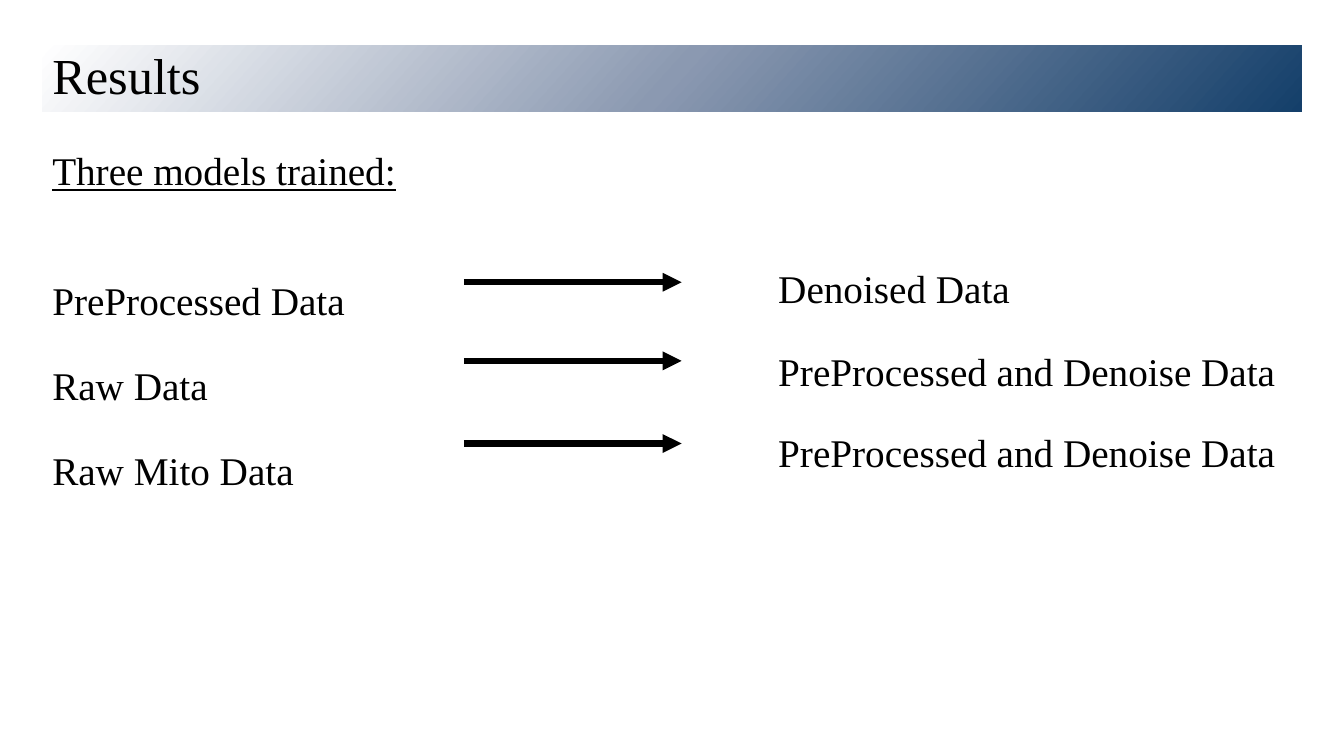
from pptx import Presentation
from pptx import util as u
from pptx.dml.color import RGBColor
from pptx.enum import shapes, text
from pptx.oxml import parse_xml
from pptx.oxml.ns import nsdecls, qn


def colour(value):
    return RGBColor.from_string(value)


class ResultsPage:
    """Holds the style and the current slide, and draws its elements."""

    font = "Times New Roman"
    ink = "000000"
    body_size = 28
    title_size = 36

    def __init__(self, deck):
        self.page = deck.slides.add_slide(deck.slide_layouts[6])

    def add_words(self, para, words, size, spacing, before=0, underline=False):
        para.alignment = text.PP_ALIGN.LEFT
        para.line_spacing = spacing
        para.space_before = u.Pt(before)
        span = para.add_run()
        span.text = words
        span.font.name = self.font
        span.font.size = u.Pt(size)
        span.font.underline = underline
        span.font.color.rgb = colour(self.ink)

    def banner(self, words, left, top, width, height):
        bar = self.page.shapes.add_shape(
            shapes.MSO_SHAPE.RECTANGLE,
            u.Inches(left), u.Inches(top), u.Inches(width), u.Inches(height))
        bar.shadow.inherit = False
        bar.line.fill.background()
        stops = "".join(
            f'<a:gs pos="{place * 1000}"><a:srgbClr val="{value}"/></a:gs>'
            for place, value in ((0, "FFFFFF"), (50, "8B99B1"), (100, "143F6A")))
        bar.fill.background()
        properties = bar._element.spPr
        properties.replace(properties.find(qn("a:noFill")), parse_xml(
            f'<a:gradFill {nsdecls("a")} rotWithShape="1"><a:gsLst>{stops}</a:gsLst>'
            f'<a:lin ang="{42 * 60000}" scaled="0"/></a:gradFill>'))
        bar.text_frame.word_wrap = True
        bar.text_frame.vertical_anchor = text.MSO_ANCHOR.MIDDLE
        self.add_words(bar.text_frame.paragraphs[0], words, self.title_size, 0.9)

    def text_box(self, left, top, width, height):
        box = self.page.shapes.add_textbox(
            u.Inches(left), u.Inches(top), u.Inches(width), u.Inches(height))
        box.text_frame.word_wrap = True
        return box.text_frame

    def model_list(self, heading, inputs, left, top, width, height):
        frame = self.text_box(left, top, width, height)
        self.add_words(frame.paragraphs[0], heading, self.body_size, 0.9, underline=True)
        for index, words in enumerate(inputs):
            before = 10 if index else 42
            self.add_words(frame.add_paragraph(), words, self.body_size, 1.5, before)

    def output(self, words, left, top, width, height):
        frame = self.text_box(left, top, width, height)
        self.add_words(frame.paragraphs[0], words, self.body_size, 1.5)

    def arrow(self, start, end, height):
        line = self.page.shapes.add_connector(
            shapes.MSO_CONNECTOR.STRAIGHT,
            u.Inches(start), u.Inches(height), u.Inches(end), u.Inches(height))
        line.line.color.rgb = colour(self.ink)
        line.line.width = u.Pt(4.5)
        line.line._get_or_add_ln().append(
            parse_xml(f'<a:tailEnd {nsdecls("a")} type="triangle"/>'))
        line._element.spPr.append(parse_xml(f'<a:effectLst {nsdecls("a")}/>'))


def main():
    deck = Presentation()
    deck.slide_width, deck.slide_height = u.Inches(13.33), u.Inches(7.5)
    results = ResultsPage(deck)
    models = (
        ("PreProcessed Data", "Denoised Data", 2.8, 2.34),
        ("Raw Data", "PreProcessed and Denoise Data", 3.58, 3.16),
        ("Raw Mito Data", "PreProcessed and Denoise Data", 4.4, 3.97),
    )
    results.model_list("Three models trained:", [model[0] for model in models],
                       0.42, 1.46, 10.51, 3.94)
    results.banner("Results", 0.42, 0.45, 12.49, 0.66)
    for _, produced, arrow_height, box_top in models:
        results.arrow(4.6, 6.76, arrow_height)
        results.output(produced, 7.62, box_top, 5.22, 0.57)
    deck.save("out.pptx")


if __name__ == "__main__":
    main()
